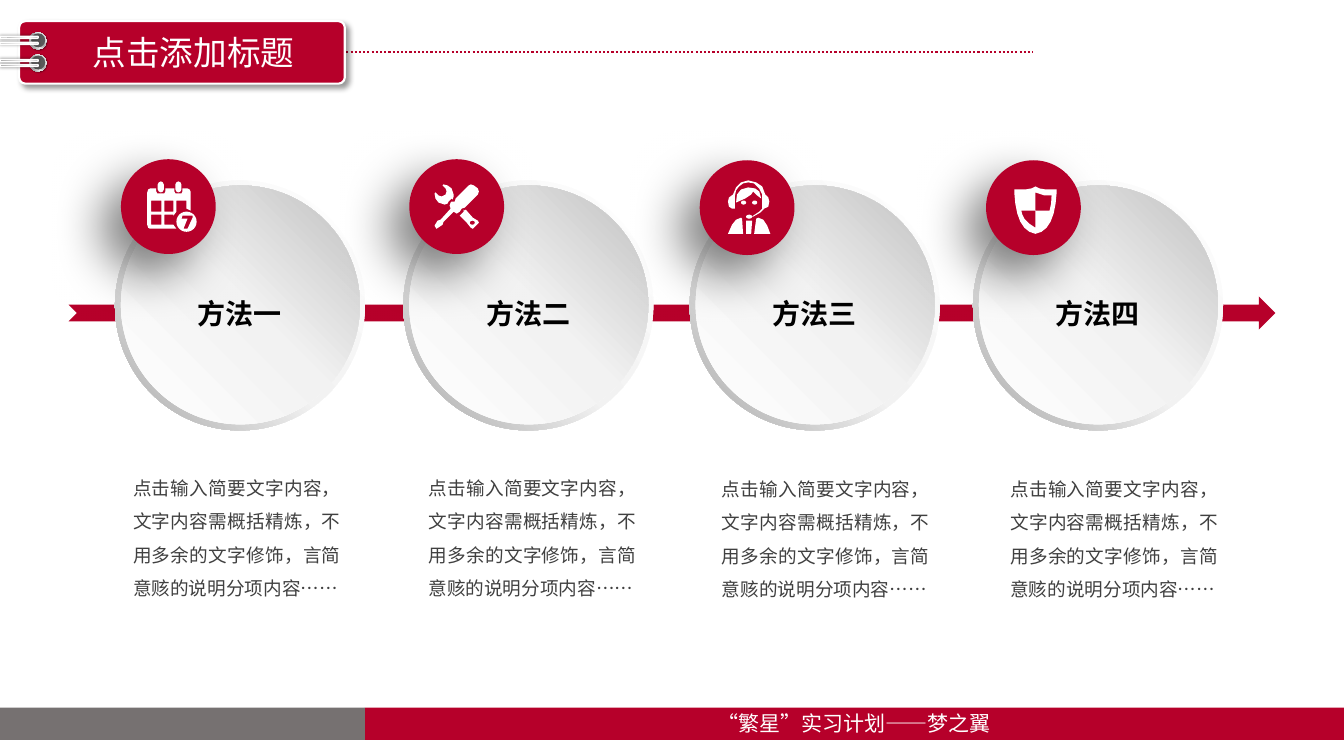
from math import cos, pi, sin

from lxml.etree import SubElement
from pptx import Presentation
from pptx.dml.color import RGBColor
from pptx.enum.dml import MSO_LINE
from pptx.enum.shapes import MSO_CONNECTOR, MSO_SHAPE as Kind
from pptx.enum.text import PP_ALIGN as Align
from pptx.oxml import parse_xml
from pptx.oxml.ns import nsdecls, qn
from pptx.util import Inches, Pt

FONT = "Noto Sans CJK SC"
RED = RGBColor(0xB6, 0x00, 0x2A)
WHITE = RGBColor(0xFF, 0xFF, 0xFF)
BLACK = RGBColor(0x00, 0x00, 0x00)
INK = RGBColor(0x40, 0x40, 0x40)
GREY = RGBColor(0x76, 0x71, 0x71)
DARK = RGBColor(0x59, 0x59, 0x59)
ASH = RGBColor(0x80, 0x80, 0x80)
STEEL = RGBColor(0xA6, 0xA6, 0xA6)
MIST = RGBColor(0xF2, 0xF2, 0xF2)
SILVER = RGBColor(0xBF, 0xBF, 0xBF)
PALE = RGBColor(0xD9, 0xD9, 0xD9)

# Gradients: angle in degrees, then (percent, colour) stops
RIM = (135, [(0, WHITE), (55, MIST), (100, STEEL)])
FACE = (315, [(0, WHITE), (51, MIST), (100, SILVER)])
RING = (45, [(0, WHITE), (17, STEEL), (35, MIST), (55, STEEL),
             (75, MIST), (100, STEEL)])
WIRE = (90, [(0, ASH), (23, STEEL), (52, PALE), (74, WHITE), (100, STEEL)])


def shape(kind, x, y, w, h, fill, shade=None, line=0, adj=None, turn=0):
    """fill: colour or gradient; shade: alpha, blur, distance, angle; line: white, in points."""
    item = slide.shapes.add_shape(kind, Inches(x), Inches(y), Inches(w), Inches(h))
    item.rotation = turn
    if adj is not None:
        item.adjustments[0] = adj
    if isinstance(fill, RGBColor):
        item.fill.solid()
        item.fill.fore_color.rgb = fill
    else:
        angle, stops = fill
        item.fill.gradient()
        grad = item.fill._xPr.find(qn("a:gradFill"))
        for child in list(grad):
            grad.remove(child)
        marks = "".join(f'<a:gs pos="{pos * 1000}"><a:srgbClr val="{tone}"/></a:gs>'
                        for pos, tone in stops)
        grad.append(parse_xml(f'<a:gsLst {nsdecls("a")}>{marks}</a:gsLst>'))
        SubElement(grad, qn("a:lin"), ang=str(angle * 60000), scaled="0")
    if line:
        item.line.color.rgb = WHITE
        item.line.width = Pt(line)
    else:
        item.line.fill.background()
    item.shadow.inherit = False
    if shade:
        alpha, blur, dist, angle = shade
        effects = item._element.spPr.find(qn("a:effectLst"))
        effects.append(parse_xml(
            f'<a:outerShdw {nsdecls("a")} blurRad="{Pt(blur)}" dist="{Pt(dist)}" '
            f'dir="{angle * 60000}" rotWithShape="0"><a:srgbClr val="000000">'
            f'<a:alpha val="{alpha * 1000}"/></a:srgbClr></a:outerShdw>'))


def write(x, y, w, h, text, size, color, align=Align.CENTER, bold=False):
    box = slide.shapes.add_textbox(Inches(x), Inches(y), Inches(w), Inches(h))
    frame = box.text_frame
    frame.word_wrap = align == Align.JUSTIFY
    para = frame.paragraphs[0]
    para.text = text
    para.alignment = align
    para.font.size = Pt(size)
    para.font.bold = bold
    para.font.color.rgb = color
    para.font.name = FONT
    SubElement(para._p.pPr.find(qn("a:defRPr")), qn("a:ea"), typeface=FONT)
    return box


prs = Presentation()
prs.slide_width, prs.slide_height = Inches(13.33), Inches(7.5)
slide = prs.slides.add_slide(prs.slide_layouts[6])

# Footer
shape(Kind.RECTANGLE, 3.62, 7.02, 9.71, 0.32, RED)
write(6.99, 7, 2.97, 0.35, "“繁星”实习计划——梦之翼", 15, WHITE)
shape(Kind.RECTANGLE, 0, 7.02, 3.62, 0.32, GREY)

# Title card with its binding
rule = slide.shapes.add_connector(
    MSO_CONNECTOR.STRAIGHT, Inches(3.31), Inches(0.52), Inches(10.24), Inches(0.52))
rule.line.color.rgb = RED
rule.line.width = Pt(1.5)
rule.line.dash_style = MSO_LINE.ROUND_DOT
SubElement(rule._element.spPr, qn("a:effectLst"))
shape(Kind.ROUNDED_RECTANGLE, 0.19, 0.21, 3.23, 0.62, RED, (40, 4, 3, 45), 1.5, 0.1)
for top in (0.54, 0.32):
    shape(Kind.OVAL, 0.29, top, 0.17, 0.17, RING, (40, 1, 1, 45), turn=270)
    shape(Kind.OVAL, 0.31, top + 0.01, 0.14, 0.14, DARK, turn=270)
for top in (0.46, 0.41, 0.24, 0.18):
    shape(Kind.ROUNDED_RECTANGLE, 0.18, top, 0.02, 0.38, WIRE, (40, 2, 0, 0), 1, 0.5, 270)
write(0.81, 0.27, 2.22, 0.5, "点击添加标题", 24, WHITE)

# Icon outlines in hundredths of an inch; inner loops cut holes
def oval(cx, cy, rx, ry):
    turns = [2 * pi * k / 24 for k in range(24)]
    return [(cx + rx * cos(t), cy + ry * sin(t)) for t in turns]


PIN = [(0, 0), (2, 1), (3, 3), (3, 8), (2, 10), (0, 11),
       (-2, 10), (-3, 8), (-3, 3), (-2, 1)]
CALENDAR = [
    *([(x + mid, y) for x, y in PIN] for mid in (13.5, 31)),
    [(3, 7), (9, 7), (9, 10), (10, 12), (17, 12), (18, 10), (18, 7), (27, 7),
     (27, 10), (28, 12), (34, 12), (35, 10), (35, 7), (40, 7), (42, 8), (43, 10),
     (43, 29), (39, 27), (39, 19), (29, 19), (29, 30), (26, 34), (26, 33), (17, 33),
     (17, 43), (26, 43), (29, 47), (3, 47), (1, 46), (0, 43), (0, 11), (1, 8)],
    *([(x, y), (x + 10, y), (x + 10, y + h), (x, y + h)]
      for x, y, h in ((4, 19, 11), (4, 33, 10))),
    [(17, 19), (26, 19), (26, 30), (17, 30)],
    oval(39, 40, 10, 10),
    [(35, 34), (45, 34), (45, 36), (40, 47), (36, 47), (40, 37), (34, 37)],
]
TOOLS = [
    [(29, 25), (29, 27), (25, 31), (32, 38), (36, 43), (38, 44), (44, 38),
     (43, 36), (38, 33), (31, 25), (30, 26)],
    oval(37.5, 38, 2.5, 2),
    [(16, 15), (17, 14), (18, 15), (19, 12), (19, 10), (17, 4), (13, 1), (9, 0),
     (8, 1), (11, 4), (12, 7), (11, 10), (7, 12), (4, 11), (1, 8), (0, 9),
     (1, 14), (4, 18), (10, 20), (13, 19), (14, 17)],
    [(43, 4), (39, 1), (36, 0), (34, 1), (21, 14), (20, 17), (17, 17), (16, 18),
     (15, 21), (16, 24), (6, 35), (3, 36), (0, 41), (2, 44), (8, 40), (9, 37),
     (19, 27), (22, 29), (25, 27), (27, 24), (30, 23), (43, 10), (44, 7)],
]
AGENT = [
    [(20, 0), (13, 2), (8, 7), (5, 14), (1, 17), (0, 21), (1, 26), (4, 28), (7, 28),
     (7, 15), (8, 10), (11, 6), (15, 3), (20, 2), (26, 3), (31, 8), (34, 14),
     (34, 28), (31, 31), (25, 35), (24, 36), (25, 36), (32, 32), (36, 28), (40, 26),
     (41, 21), (40, 17), (37, 14), (34, 6), (28, 2)],
    [(20, 7), (13, 9), (9, 14), (8, 22), (17, 18), (23, 14), (25, 11), (29, 15),
     (33, 18), (31, 11), (27, 8)],
    oval(15.5, 22, 2.5, 2), oval(26.5, 22, 2.5, 2), oval(21, 36, 3, 2),
    [(30, 37), (28, 38), (26, 53), (42, 53), (39, 45), (35, 39)],
    [(13, 37), (8, 39), (4, 44), (0, 53), (15, 53), (14, 38)],
    [(18, 40), (18, 53), (23, 53), (24, 40)],
]
SHIELD = [
    [(0, 3), (11, 3), (17, 2), (21, 0), (25, 2), (31, 3), (42, 3), (42, 6), (41, 17),
     (39, 27), (36, 35), (32, 41), (27, 45), (21, 47), (15, 45), (10, 41), (6, 35),
     (3, 27), (1, 17), (0, 6)],
    [(21, 24), (35, 24), (36.5, 17), (37, 9), (30, 9), (21, 6)],
    [(21, 41), (21, 24), (7, 24), (8, 28), (10, 32), (15, 37)],
]

# Arrow and the four steps: name, disc left, dot left and top, note left, icon and its inset
shape(Kind.NOTCHED_RIGHT_ARROW, 0.68, 2.94, 11.97, 0.33, RED)
NOTE = "点击输入简要文字内容，文字内容需概括精炼，不用多余的文字修饰，言简意赅的说明分项内容……"
STEPS = [
    ("方法一", 1.14, 1.2, 1.58, 1.32, CALENDAR, 0.26, 0.22),
    ("方法二", 4, 4.06, 1.58, 4.25, TOOLS, 0.25, 0.25),
    ("方法三", 6.84, 6.94, 1.59, 7.16, AGENT, 0.28, 0.2),
    ("方法四", 9.65, 9.78, 1.59, 10.02, SHIELD, 0.28, 0.26),
]
for name, left, dot, top, col, loops, dx, dy in STEPS:
    shape(Kind.DONUT, left, 1.79, 2.48, 2.48, RIM, adj=0.049)
    shape(Kind.OVAL, left + 0.06, 1.84, 2.37, 2.37, FACE)
    write(left + 0.72, 2.89, 1.04, 0.44, name, 20, BLACK, bold=True)
    shape(Kind.OVAL, dot, top, 0.94, 0.94, RED, (50, 35, 20, 135))
    note = write(col, top + 3.04, 2.06, 1.35, NOTE, 13.3, INK, Align.JUSTIFY)
    frame = note.text_frame
    frame.margin_left = frame.margin_right = frame.margin_top = frame.margin_bottom = 0
    frame.paragraphs[0].line_spacing = 1.5

    fine = [[(x * 10, y * 10) for x, y in loop] for loop in loops]
    pen = slide.shapes.build_freeform(*fine[0][0], scale=Inches(1) / 1000)
    for n, loop in enumerate(fine):
        if n:
            pen.move_to(*loop[0])
        pen.add_line_segments(loop[1:], close=True)
    icon = pen.convert_to_shape(Inches(dot + dx), Inches(top + dy))
    icon.fill.solid()
    icon.fill.fore_color.rgb = WHITE
    icon.line.fill.background()
    icon.shadow.inherit = False

prs.save("out.pptx")
